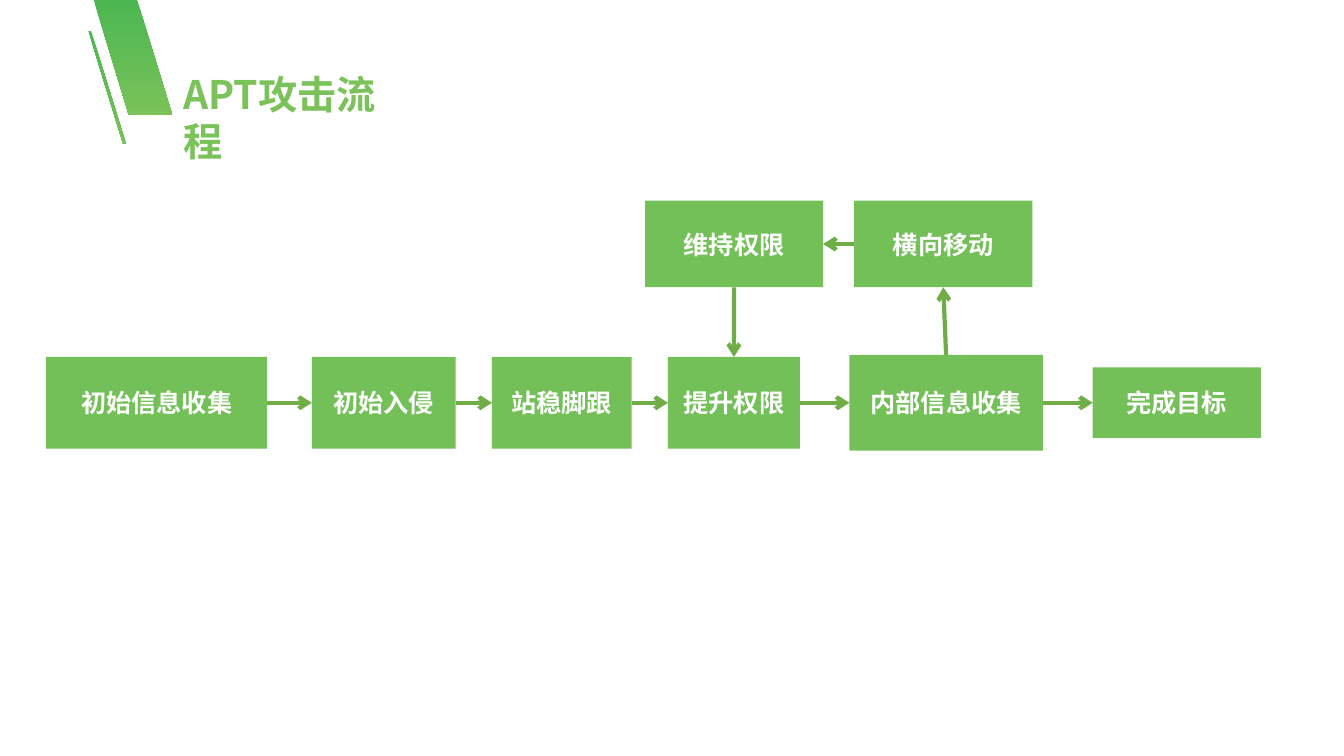
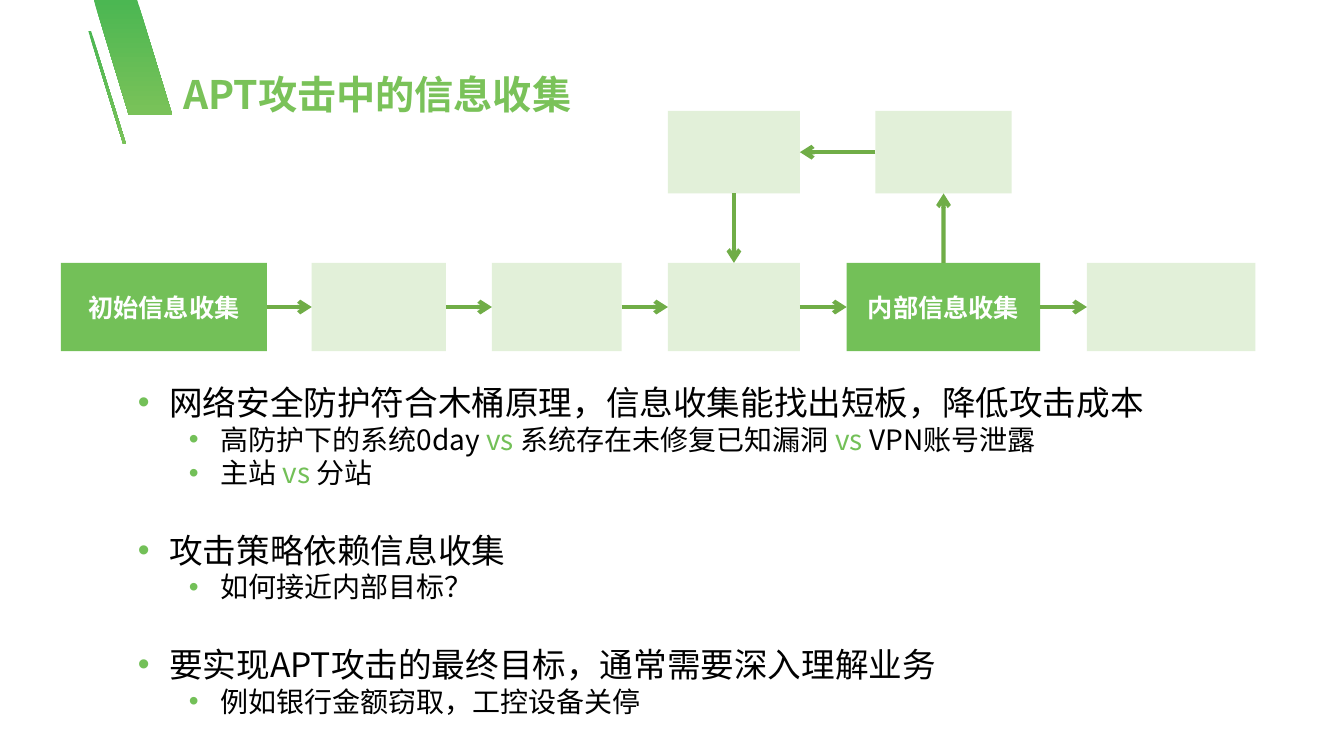
import lxml.etree
import pptx
import pptx.dml.color
import pptx.enum.shapes
import pptx.enum.text
import pptx.oxml.ns
import pptx.util

Pt = pptx.util.Pt
qn = pptx.oxml.ns.qn
ALIGN = pptx.enum.text.PP_ALIGN
ANCHOR = pptx.enum.text.MSO_ANCHOR

# Shared look
FONT = "Noto Sans CJK SC"
GREEN, PALE, LEAF = "73C058", "E2F0D9", "70AD47"
TITLE, DEEP = "7AC259", "4BB752"
WHITE, BLACK = "FFFFFF", "000000"
BANDS = [
    [(123.2, 82.2), (97.7, 0), (66.7, 0), (92, 82.2)],
    [(90.5, 102.8), (65.2, 22.2), (63.3, 22.2), (88.4, 102.8)],
]
TOP, LEFT, BOTTOM, RIGHT = range(4)  # connection sites of a rectangle

# Steps of the attack: the main row, then the loop above it
STEPS = ["初始信息收集", "初始入侵", "站稳脚跟", "提升权限", "内部信息收集", "完成目标"]
LOOP = ["维持权限", "横向移动"]
RAISE, INNER = STEPS[3], STEPS[4]
KEEP, MOVE = LOOP

# Body text: level, space before, (text, colour) runs
BODY = [
    (0, 0, [("网络安全防护符合木桶原理，信息收集能找出短板，降低攻击成本", BLACK)]),
    (1, 0, [("高防护下的系统0day ", BLACK), ("vs ", GREEN),
            ("系统存在未修复已知漏洞 ", BLACK), ("vs", GREEN), (" VPN账号泄露", BLACK)]),
    (1, 0, [("主站 ", BLACK), ("vs ", GREEN), ("分站", BLACK)]),
    (0, 28.8, [("攻击策略依赖信息收集", BLACK)]),
    (1, 0, [("如何接近内部目标？", BLACK)]),
    (0, 28.8, [("要实现APT攻击的最终目标，通常需要深入理解业务", BLACK)]),
    (1, 0, [("例如银行金额窃取，工控设备关停", BLACK)]),
]


def rgb(code):
    return pptx.dml.color.RGBColor.from_string(code)


def write(para, text, size=18, color=BLACK, bold=False, align=None):
    """Add one formatted run to a paragraph."""
    run = para.add_run()
    run.text = text
    run.font.size = Pt(size)
    run.font.bold = bold
    run.font.color.rgb = rgb(color)
    run.font.name = FONT
    east = lxml.etree.SubElement(run.font._element, qn("a:ea"))
    east.set("typeface", FONT)
    if align is not None:
        para.alignment = align


def frame(slide, x, y, w, h):
    """Add a wrapping text box and return its text frame."""
    text = slide.shapes.add_textbox(Pt(x), Pt(y), Pt(w), Pt(h)).text_frame
    text.word_wrap = True
    return text


def band(slide, points):
    """Draw a slanted band with a green gradient."""
    maker = slide.shapes.build_freeform(*points[0], scale=Pt(1))
    maker.add_line_segments(points[1:], close=True)
    shape = maker.convert_to_shape()
    shape.shadow.inherit = False
    shape.line.fill.background()
    shape.fill.gradient()
    shape.fill.gradient_angle = 270
    for stop, color, place in zip(shape.fill.gradient_stops, (DEEP, TITLE), (0, 1)):
        stop.color.rgb = rgb(color)
        stop.position = place


def begin(deck, title, width):
    """Start a slide with its bands and title."""
    slide = deck.slides.add_slide(deck.slide_layouts[6])
    for points in BANDS:
        band(slide, points)
    para = frame(slide, 123.8, 46.8, width, 41).paragraphs[0]
    para.line_spacing = Pt(33.6)
    write(para, title, size=28, color=TITLE, bold=True)
    return slide


def box(slide, name, x, mid, w, h, lit):
    """Draw a step box centred on the height mid; only lit steps are named."""
    shape = slide.shapes.add_shape(
        pptx.enum.shapes.MSO_SHAPE.RECTANGLE, Pt(x), Pt(mid - h / 2), Pt(w), Pt(h))
    shape.shadow.inherit = False
    shape.fill.solid()
    shape.fill.fore_color.rgb = rgb(GREEN if lit else PALE)
    shape.line.fill.background()
    if lit:
        text = shape.text_frame
        text.vertical_anchor = ANCHOR.MIDDLE
        write(text.paragraphs[0], name, color=WHITE, bold=True, align=ALIGN.CENTER)
    return shape


def arrow(slide, start, out, end, into):
    """Join two boxes by an arrow between connection sites."""
    line = slide.shapes.add_connector(
        pptx.enum.shapes.MSO_CONNECTOR.STRAIGHT, 0, 0, 0, 0)
    line.begin_connect(start, out)
    line.end_connect(end, into)
    line.line.color.rgb = rgb(LEAF)
    line.line.width = Pt(3)
    tail = lxml.etree.SubElement(line.line._get_or_add_ln(), qn("a:tailEnd"))
    tail.set("type", "arrow")
    lxml.etree.SubElement(line._element.spPr, qn("a:effectLst"))


def flow(slide, row, mid, loop, high, lit):
    """Draw both rows of boxes (x, width, height) and their arrows."""
    boxes = {}
    for names, sizes, level in ((STEPS, row, mid), (LOOP, loop, high)):
        for name, (x, w, h) in zip(names, sizes):
            boxes[name] = box(slide, name, x, level, w, h, name in lit)
    for start, end in zip(STEPS, STEPS[1:]):
        arrow(slide, boxes[start], RIGHT, boxes[end], LEFT)
    arrow(slide, boxes[INNER], TOP, boxes[MOVE], BOTTOM)
    arrow(slide, boxes[MOVE], LEFT, boxes[KEEP], RIGHT)
    arrow(slide, boxes[KEEP], BOTTOM, boxes[RAISE], TOP)


def body(slide, items):
    """Write the two-level bullet list."""
    text = frame(slide, 91.4, 269.1, 761, 254)
    for i, (level, gap, runs) in enumerate(items):
        para = text.add_paragraph() if i else text.paragraphs[0]
        size = 20 if level else 24
        para.level = level
        para.space_before = Pt(gap)
        para.line_spacing = Pt(size * 1.2)
        for part, color in runs:
            write(para, part, size=size, color=color)
        props = para._p.get_or_add_pPr()
        props.set("marL", str(Pt(22.5 + 36.4 * level)))
        props.set("indent", str(Pt(-22.5)))
        tint = lxml.etree.SubElement(props, qn("a:buClr"))
        lxml.etree.SubElement(tint, qn("a:srgbClr")).set("val", GREEN)
        lxml.etree.SubElement(props, qn("a:buFont")).set("typeface", "Arial")
        lxml.etree.SubElement(props, qn("a:buChar")).set("char", "•")


def main():
    deck = pptx.Presentation()
    deck.slide_width, deck.slide_height = Pt(960), Pt(540)

    # Whole attack flow
    slide = begin(deck, "APT攻击流程", 179.3)
    row = [(33, 157.8, 65.5), (222.7, 102.8, 65.5), (351.4, 99.7, 65.5),
           (477.1, 94.3, 65.5), (606.7, 138.2, 68.4), (780.5, 120.2, 50.4)]
    loop = [(460.8, 127.2, 61.8), (610.1, 127.4, 61.8)]
    flow(slide, row, 287.7, loop, 174.3, STEPS + LOOP)

    # Places where information is gathered
    slide = begin(deck, "APT攻击中的信息收集", 292.3)
    row = [(43.5, 147.2), (222.7, 95.8), (351.4, 92.7),
           (477.1, 94.3), (604.8, 138.2), (776.4, 120.3)]
    loop = [(477.1, 94.3), (625.3, 97.4)]
    flow(slide, [(x, w, 63) for x, w in row], 219.3,
         [(x, w, 59) for x, w in loop], 108.7, (STEPS[0], INNER))
    body(slide, BODY)

    deck.save("out.pptx")


if __name__ == "__main__":
    main()
